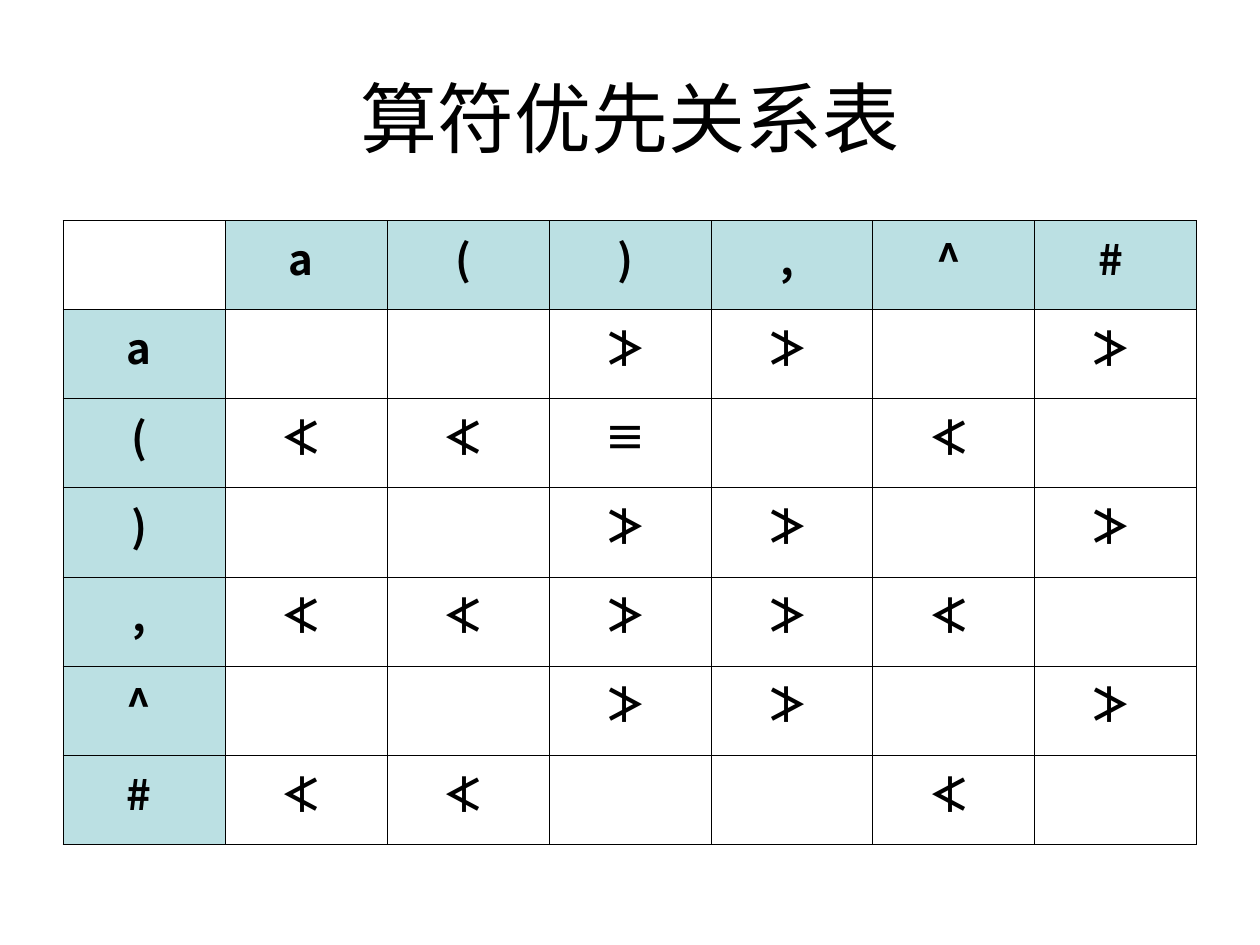
"""Build a slide with an operator precedence relation table."""
from lxml import etree
from pptx import Presentation
from pptx.dml.color import RGBColor
from pptx.enum.text import MSO_ANCHOR, PP_ALIGN
from pptx.oxml.ns import qn
from pptx.util import Inches, Pt

CENTER = PP_ALIGN.CENTER
MIDDLE = MSO_ANCHOR.MIDDLE
BLACK = RGBColor(0x00, 0x00, 0x00)
HEADER_TEAL = RGBColor(0xBB, 0xE0, 0xE3)
TITLE_FONT = "Arial"
SYMBOL_FONT = "Noto Sans CJK SC"

OPERATORS = ["a", "(", ")", ",", "^", "#"]
RELATIONS = [
    ["", "", "≯", "≯", "", "≯"],
    ["≮", "≮", "≡", "", "≮", ""],
    ["", "", "≯", "≯", "", "≯"],
    ["≮", "≮", "≯", "≯", "≮", ""],
    ["", "", "≯", "≯", "", "≯"],
    ["≮", "≮", "", "", "≮", ""],
]


def add_run(paragraph, text, font_name, size, bold):
    """Add one black run with matching Latin and East Asian fonts."""
    paragraph.alignment = CENTER
    run = paragraph.add_run()
    run.text = text
    run.font.name = font_name
    run.font.size = Pt(size)
    run.font.bold = bold
    run.font.color.rgb = BLACK
    east_asian = etree.SubElement(run.font._element, qn("a:ea"))
    east_asian.set("typeface", SYMBOL_FONT)


def add_title(slide, text):
    """Place and format the title placeholder."""
    title = slide.shapes.title
    title.left, title.top = Inches(0.5), Inches(0.3)
    title.width, title.height = Inches(9), Inches(1.25)
    title.text_frame.vertical_anchor = MIDDLE
    add_run(title.text_frame.paragraphs[0], text, TITLE_FONT, 44, False)


def set_borders(cell):
    """Draw a thin black line on all four sides of a cell."""
    properties = cell._tc.get_or_add_tcPr()
    for position, side in enumerate(("a:lnL", "a:lnR", "a:lnT", "a:lnB")):
        line = etree.Element(qn(side), w=str(Pt(0.45)))
        solid = etree.SubElement(line, qn("a:solidFill"))
        etree.SubElement(solid, qn("a:srgbClr"), val=str(BLACK))
        properties.insert(position, line)


def format_cell(cell, symbol, is_header):
    """Fill, border and label one table cell."""
    if is_header:
        cell.fill.solid()
        cell.fill.fore_color.rgb = HEADER_TEAL
    else:
        cell.fill.background()
    set_borders(cell)
    if symbol:
        paragraph = cell.text_frame.paragraphs[0]
        indent = Inches(0.38)
        properties = paragraph._p.get_or_add_pPr()
        properties.set("marL", str(indent))
        properties.set("indent", str(-indent))
        add_run(paragraph, symbol + " ", SYMBOL_FONT, 24, True)


def add_precedence_table(slide):
    """Add the relations with operators heading rows and columns."""
    grid = [["", *OPERATORS]]
    grid += [[operator, *row] for operator, row in zip(OPERATORS, RELATIONS)]
    table = slide.shapes.add_table(
        len(grid), len(grid[0]),
        Inches(0.5), Inches(1.75), Inches(9), Inches(4.95),
    ).table
    table.first_row = False
    table.horz_banding = False
    for row_index, row in enumerate(grid):
        for column_index, symbol in enumerate(row):
            is_header = (row_index == 0) != (column_index == 0)
            format_cell(table.cell(row_index, column_index), symbol, is_header)


def main():
    """Create the slide and save the presentation."""
    presentation = Presentation()
    presentation.slide_width = Inches(10)
    presentation.slide_height = Inches(7.5)
    slide = presentation.slides.add_slide(presentation.slide_layouts[5])
    add_title(slide, "算符优先关系表")
    add_precedence_table(slide)
    presentation.save("out.pptx")


if __name__ == "__main__":
    main()
